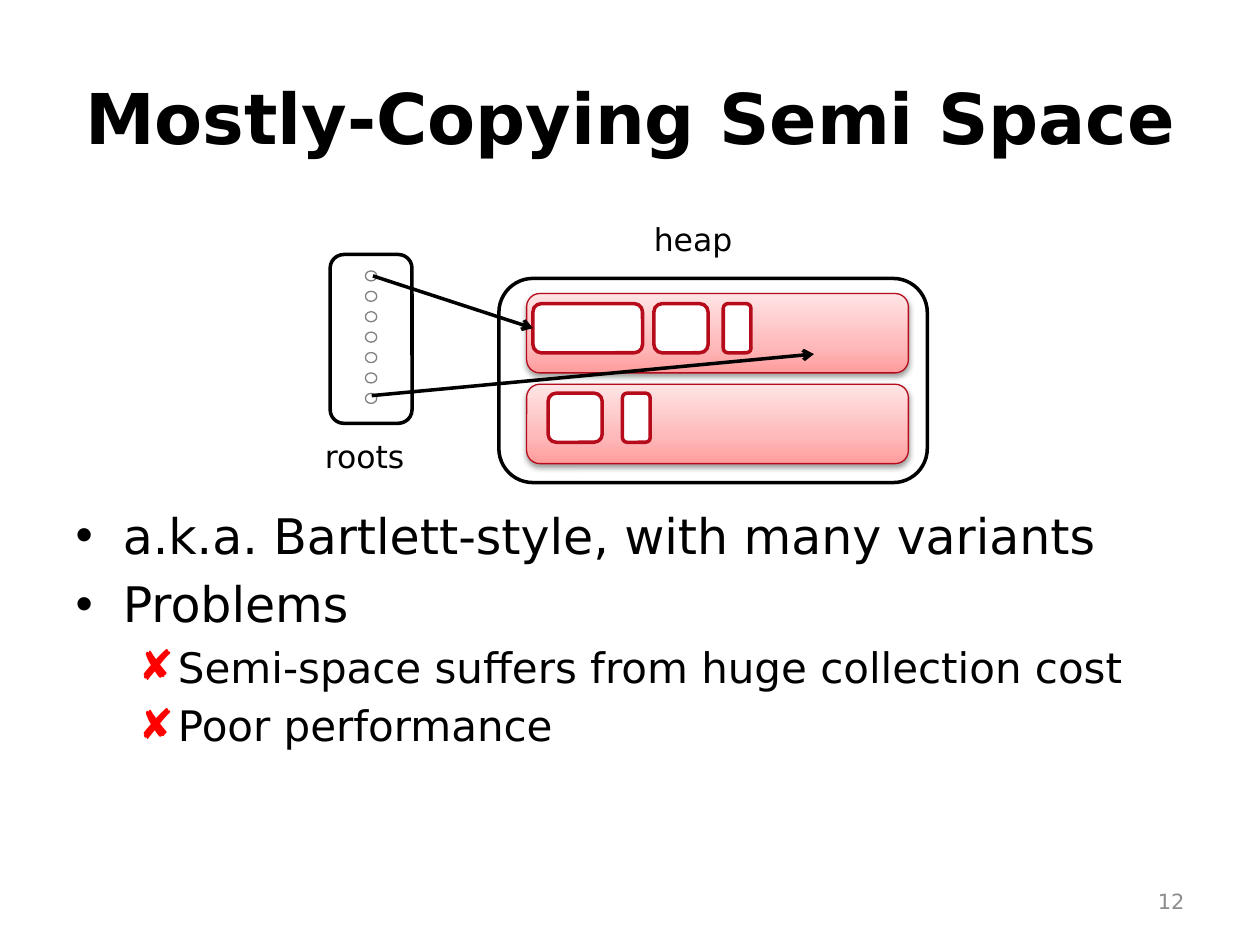
from lxml import etree
from pptx import Presentation
from pptx import util as u
from pptx.dml import color
from pptx.enum import shapes, text
from pptx.oxml import ns, parse_xml

FONT = "DejaVu Sans"
BLACK, WHITE, RED, GREY = "000000", "FFFFFF", "B50B1B", "808080"
ROUND = shapes.MSO_SHAPE.ROUNDED_RECTANGLE
OVAL = shapes.MSO_SHAPE.OVAL
ALIGN = text.PP_ALIGN
MID = text.MSO_ANCHOR.MIDDLE


def rgb(code):
    """Turn a hex string into a colour."""
    return color.RGBColor.from_string(code)


def sub(node, tag, **attrs):
    """Add a DrawingML child element."""
    return etree.SubElement(node, ns.qn("a:" + tag), attrs)


def place(item, box):
    """Move and size an item, in inches."""
    item.left, item.top, item.width, item.height = map(u.Inches, box)


def style(para, words, size=18, hue=BLACK, bold=False, align=ALIGN.LEFT):
    """Fill a paragraph with formatted text."""
    para.text = words
    para.alignment = align
    font = para.font
    font.name, font.size, font.bold = FONT, u.Pt(size), bold
    font.color.rgb = rgb(hue)


def label(sld, box, words, anchor=text.MSO_ANCHOR.TOP, **form):
    """Add a one-line text box."""
    frame = sld.shapes.add_textbox(*map(u.Inches, box)).text_frame
    frame.word_wrap = True
    frame.vertical_anchor = anchor
    style(frame.paragraphs[0], words, **form)


def block(sld, kind, box, line=BLACK, width=2):
    """Add a white outlined shape."""
    item = sld.shapes.add_shape(kind, *map(u.Inches, box))
    item.shadow.inherit = False
    item.fill.solid()
    item.fill.fore_color.rgb = rgb(WHITE)
    item.line.color.rgb = rgb(line)
    item.line.width = u.Pt(width)
    return item


def glow(item):
    """Give a shape the red gradient and a soft shadow."""
    props = item.fill._xPr
    props.remove(props.find(ns.qn("a:solidFill")))
    grad = parse_xml(f'<a:gradFill {ns.nsdecls("a")} rotWithShape="1"/>')
    stops = sub(grad, "gsLst")
    for pos, hue in ((0, "FF9C9D"), (35, "FEBABB"), (100, "FFE4E5")):
        sub(sub(stops, "gs", pos=str(pos * 1000)), "srgbClr", val=hue)
    sub(grad, "lin", ang="16200000", scaled="0")
    props.find(ns.qn("a:prstGeom")).addnext(grad)
    shade = sub(props.find(ns.qn("a:effectLst")), "outerShdw", blurRad="40000",
                dist="20000", dir="5400000", rotWithShape="0")
    sub(sub(shade, "srgbClr", val=BLACK), "alpha", val="38000")


def half(sld, box, cells, drop):
    """Draw one semi space with its objects, given as offset and width."""
    left, top = box[:2]
    glow(block(sld, ROUND, box, RED, 0.75))
    return [block(sld, ROUND, (left + dx, top + drop, wide, 0.39), RED)
            for dx, wide in cells]


def heap(sld, box):
    """Draw the heap and return its first object."""
    left, top, wide = box[:3]
    label(sld, (left + 1.13, top - 0.51, 0.91, 0.4), "heap")
    block(sld, ROUND, box)
    space = wide - 0.37, 0.63
    first = half(sld, (left + 0.22, top + 0.12, *space),
                 ((0.05, 0.87), (1.01, 0.43), (1.56, 0.22)), 0.08)
    half(sld, (left + 0.22, top + 0.84, *space),
         ((0.17, 0.43), (0.76, 0.22)), 0.07)
    return first[0]


def roots(sld, box):
    """Draw the root set with its column of slots."""
    left, top, wide, high = box
    block(sld, ROUND, box)
    for row in range(7):
        block(sld, OVAL, (left + 0.28, top + 0.13 + row * 0.162, 0.09, 0.08),
              GREY, 0.75)
    label(sld, (left - 0.14, top + high + 0.06, 0.93, 0.4), "roots")


def arrow(sld, start, end, goal=None):
    """Draw an arrow, joined to the left side of a goal if given."""
    link = sld.shapes.add_connector(shapes.MSO_CONNECTOR.STRAIGHT,
                                    *map(u.Inches, start + end))
    if goal is not None:
        link.end_connect(goal, 1)
    link.line.color.rgb = rgb(BLACK)
    link.line.width = u.Pt(2)
    sub(link.line._get_or_add_ln(), "tailEnd", type="arrow")
    sub(link._element.spPr, "effectLst")


def title(sld, box):
    """Fill the title placeholder."""
    head = sld.shapes.title
    place(head, box)
    head.text_frame.vertical_anchor = MID
    style(head.text_frame.paragraphs[0], "Mostly-Copying Semi Space",
          size=40, bold=True, align=ALIGN.CENTER)


def points(sld, box):
    """Fill the body placeholder with the list."""
    body = sld.placeholders[1]
    place(body, box)
    frame = body.text_frame
    frame.auto_size = text.MSO_AUTO_SIZE.NONE
    rows = ((0, "a.k.a. Bartlett-style, with many variants"),
            (0, "Problems"),
            (1, "Semi-space suffers from huge collection cost"),
            (1, "Poor performance"))
    for num, (level, words) in enumerate(rows):
        para = frame.add_paragraph() if num else frame.paragraphs[0]
        para.level = level
        if not num:
            para.space_before = u.Pt(0)
        if level:
            props = para._p.get_or_add_pPr()
            sub(sub(props, "buClr"), "srgbClr", val="FF0000")
            sub(props, "buFont", typeface=FONT)
            sub(props, "buChar", char="✘")
        style(para, words, size=24 if level else 28)


def main():
    """Build and save the slide."""
    deck = Presentation()
    deck.slide_width, deck.slide_height = u.Inches(10), u.Inches(7.5)
    sld = deck.slides.add_slide(deck.slide_layouts[1])
    title(sld, (0.5, 0.3, 9, 1.25))
    points(sld, (0.5, 3.96, 9, 2.74))
    label(sld, (7.17, 6.95, 2.33, 0.4), "12", MID,
          size=12, hue="8C8C8C", align=ALIGN.RIGHT)
    goal = heap(sld, (3.96, 2.21, 3.4, 1.62))
    roots(sld, (2.62, 2.02, 0.65, 1.34))
    arrow(sld, (2.96, 2.19), (4.23, 2.61), goal)
    arrow(sld, (2.95, 3.14), (6.46, 2.81))
    deck.save("out.pptx")


if __name__ == "__main__":
    main()
